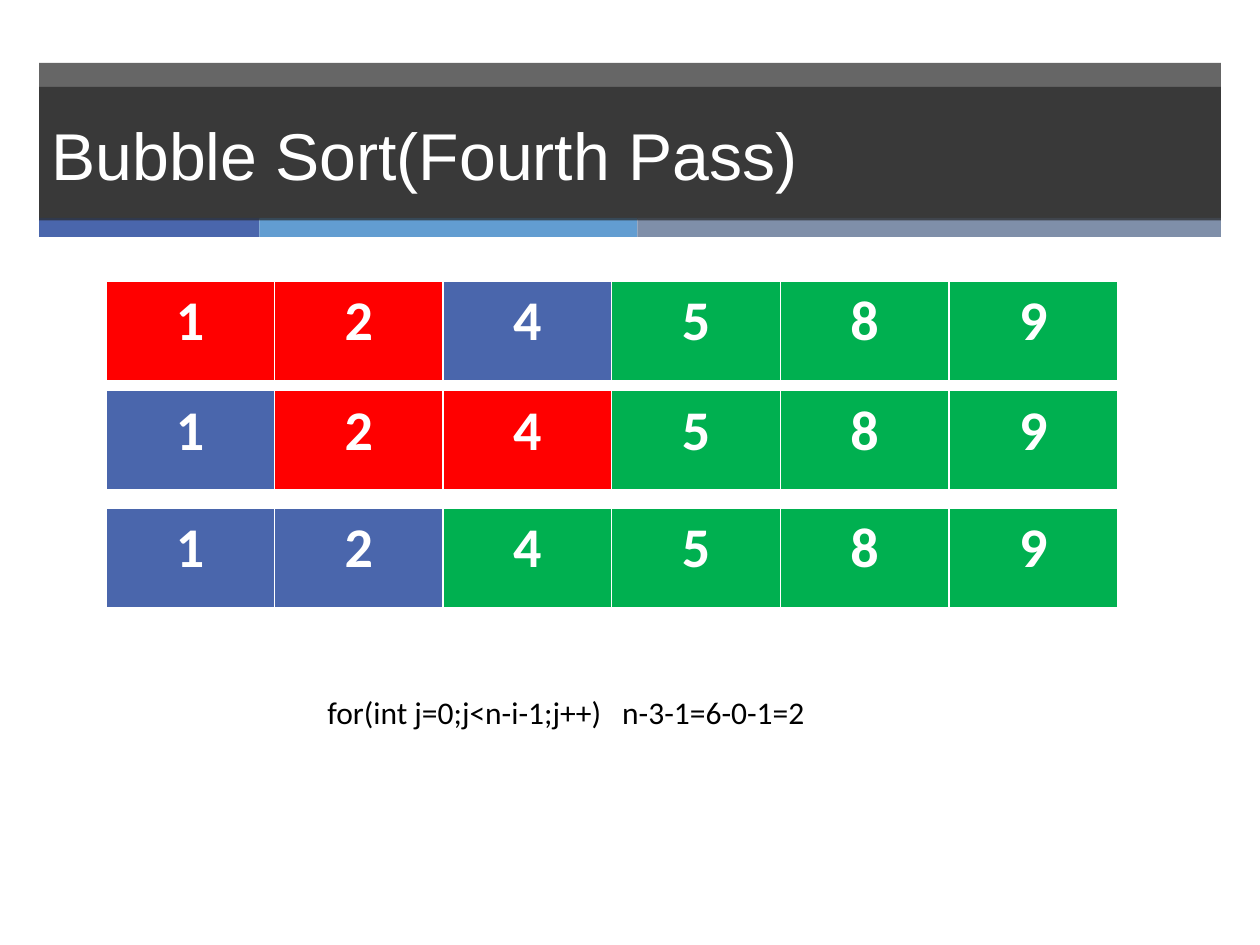
from lxml import etree
from pptx import Presentation
from pptx.dml.color import RGBColor
from pptx.enum.shapes import MSO_SHAPE
from pptx.enum.text import MSO_ANCHOR, PP_ALIGN
from pptx.oxml.ns import qn
from pptx.util import Inches, Pt

RECT = MSO_SHAPE.RECTANGLE
MIDDLE = MSO_ANCHOR.MIDDLE
LEFT, CENTER = PP_ALIGN.LEFT, PP_ALIGN.CENTER
COLORS = {
    "band": "262626", "blue": "4A66AC", "sky": "629DD1", "slate": "7F8FA9",
    "compared": "FF0000", "sorted": "00B050", "white": "FFFFFF", "black": "000000",
}


def add_bar(left, top, width, height, color, alpha=None):
    bar = s.shapes.add_shape(RECT, Inches(left), Inches(top), Inches(width), Inches(height))
    bar.shadow.inherit = False
    bar.line.fill.background()
    bar.fill.solid()
    bar.fill.fore_color.rgb = RGBColor.from_string(COLORS[color])
    if alpha:
        rgb = bar.fill._xPr.find(qn("a:solidFill"))[0]
        etree.SubElement(rgb, qn("a:alpha")).set("val", str(alpha * 1000))
    return bar


def format_text(tf, font, size, color, align, bold=False):
    p = tf.paragraphs[0]
    p.alignment = align
    for r in p.runs:
        r.font.name = font
        r.font.size = Pt(size)
        r.font.bold = bold
        r.font.color.rgb = RGBColor.from_string(COLORS[color])


prs = Presentation()
prs.slide_width, prs.slide_height = Inches(10), Inches(7.5)
s = prs.slides.add_slide(prs.slide_layouts[6])

margin, band_width = 0.31, 9.38
add_bar(margin, 0.5, band_width, 1.24, "band", 70)
left = margin
for color, width in (("blue", 1.75), ("sky", 3), ("slate", 4.63)):
    add_bar(left, 1.73, width, 0.15, color)
    left += width

title = add_bar(margin, 0.69, band_width, 1.06, "band", 70)
tf = title.text_frame
tf.word_wrap = True
tf.vertical_anchor = MIDDLE
tf.text = "Bubble Sort(Fourth Pass)"
format_text(tf, "Arial", 37.8, "white", LEFT)

values = "124589"
steps = (
    (2.23, ["compared"] * 2 + ["blue"] + ["sorted"] * 3),
    (3.1, ["blue"] + ["compared"] * 2 + ["sorted"] * 3),
    (4.03, ["blue"] * 2 + ["sorted"] * 4),
)
for top, fills in steps:
    frame = s.shapes.add_table(1, len(values), Inches(0.84), Inches(top), Inches(8.03), Inches(0.79))
    table = frame.table
    table.horz_banding = False
    for cell, value, fill in zip(table.rows[0].cells, values, fills):
        cell.text = value
        cell.fill.solid()
        cell.fill.fore_color.rgb = RGBColor.from_string(COLORS[fill])
        format_text(cell.text_frame, "Calibri", 32, "white", CENTER, True)

loop_note = s.shapes.add_textbox(Inches(2.5), Inches(5.45), Inches(5), Inches(0.4))
tf = loop_note.text_frame
tf.word_wrap = True
tf.text = "for(int j=0;j<n-i-1;j++)\tn-3-1=6-0-1=2"
format_text(tf, "Calibri", 18, "black", LEFT)
tabs = etree.SubElement(tf.paragraphs[0]._p.get_or_add_pPr(), qn("a:tabLst"))
etree.SubElement(tabs, qn("a:tab"), pos=str(Inches(2.34)), algn="l")

prs.save("out.pptx")
